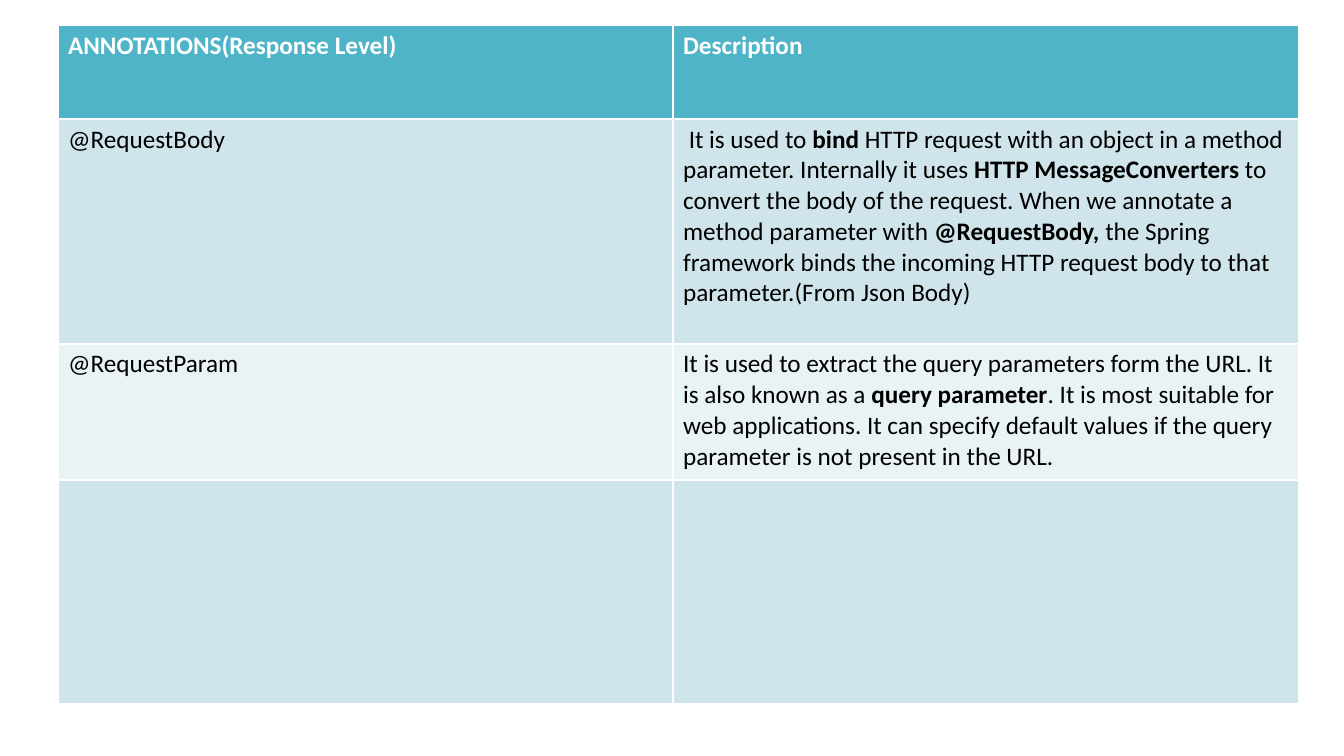
from pptx import Presentation
from pptx.dml.color import RGBColor
from pptx.util import Pt

ROWS = [
    ("**ANNOTATIONS(Response Level)**", "**Description**"),
    (
        "@RequestBody",
        " It is used to **bind** HTTP request with an object in a method parameter. "
        "Internally it uses **HTTP MessageConverters** to convert the body of the request. "
        "When we annotate a method parameter with **@RequestBody,** the Spring framework "
        "binds the incoming HTTP request body to that parameter.(From Json Body)",
    ),
    (
        "@RequestParam",
        "It is used to extract the query parameters form the URL. It is also known as a "
        "**query parameter**. It is most suitable for web applications. It can specify "
        "default values if the query parameter is not present in the URL.",
    ),
    ("", ""),
]
FILLS = ["50B4C8", "D0E5EB", "E9F2F5", "D0E5EB"]
COL_WIDTHS = [615, 626]
ROW_HEIGHTS = [94, 225, 136, 224]
LEFT, TOP = 58, 25
SLIDE_SIZE = 1344, 756


def px(n):
    return round(n * 914400 / 100.8)


def rgb(color):
    return RGBColor.from_string(color)


def write(cell, text, color):
    p = cell.text_frame.paragraphs[0]
    for i, part in enumerate(text.split("**")):
        if part:
            r = p.add_run()
            r.text = part
            r.font.name = "Calibri"
            r.font.size = Pt(18)
            r.font.bold = i % 2 == 1
            r.font.color.rgb = rgb(color)


def main():
    prs = Presentation()
    prs.slide_width, prs.slide_height = map(px, SLIDE_SIZE)
    s = prs.slides.add_slide(prs.slide_layouts[6])
    table = s.shapes.add_table(
        len(ROWS), len(COL_WIDTHS), px(LEFT), px(TOP),
        px(sum(COL_WIDTHS)), px(sum(ROW_HEIGHTS)),
    ).table
    for col, width in zip(table.columns, COL_WIDTHS):
        col.width = px(width)
    for i, (texts, fill, height) in enumerate(zip(ROWS, FILLS, ROW_HEIGHTS)):
        table.rows[i].height = px(height)
        for cell, text in zip(table.rows[i].cells, texts):
            cell.fill.solid()
            cell.fill.fore_color.rgb = rgb(fill)
            write(cell, text, "000000" if i else "FFFFFF")
    prs.save("out.pptx")


if __name__ == "__main__":
    main()
